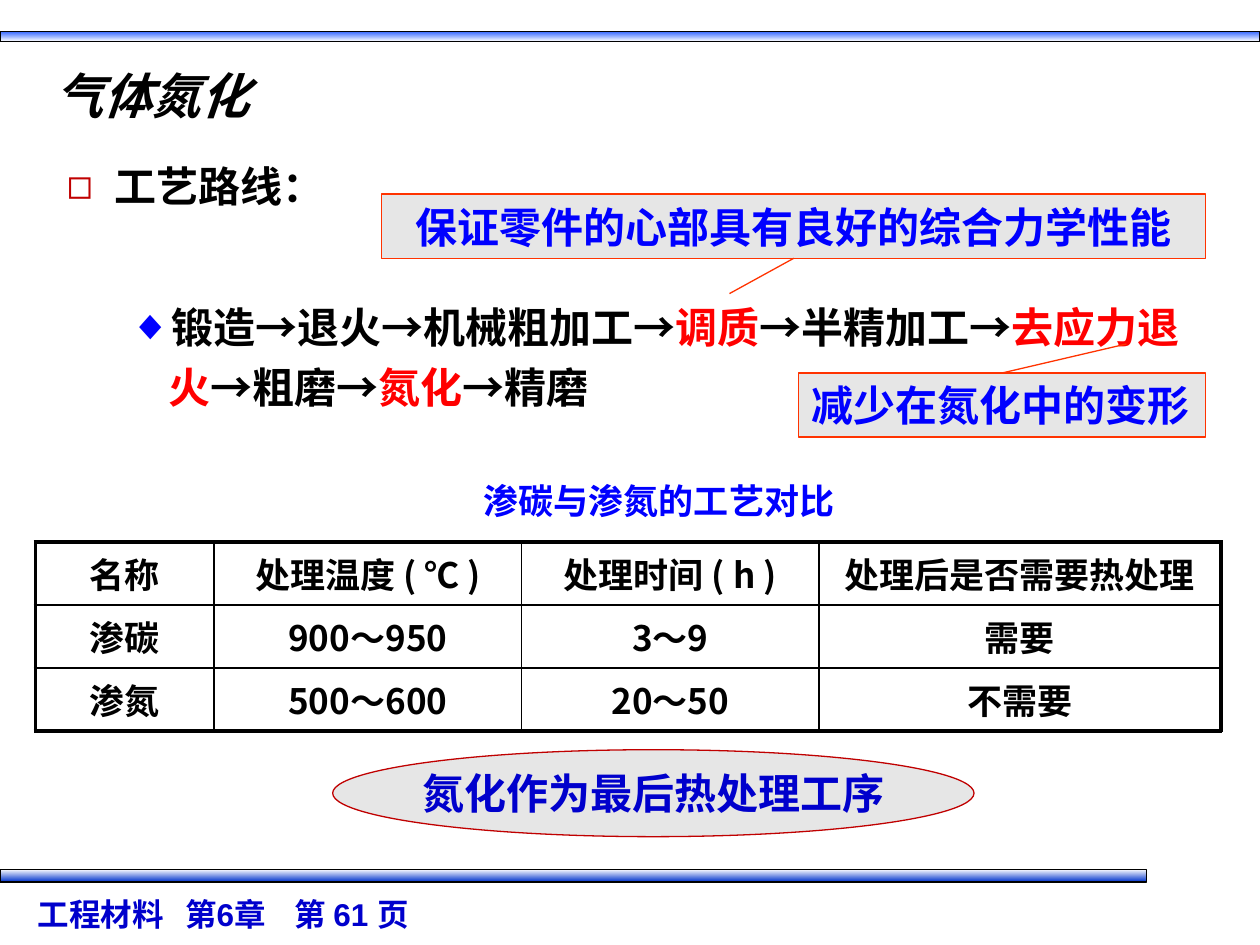
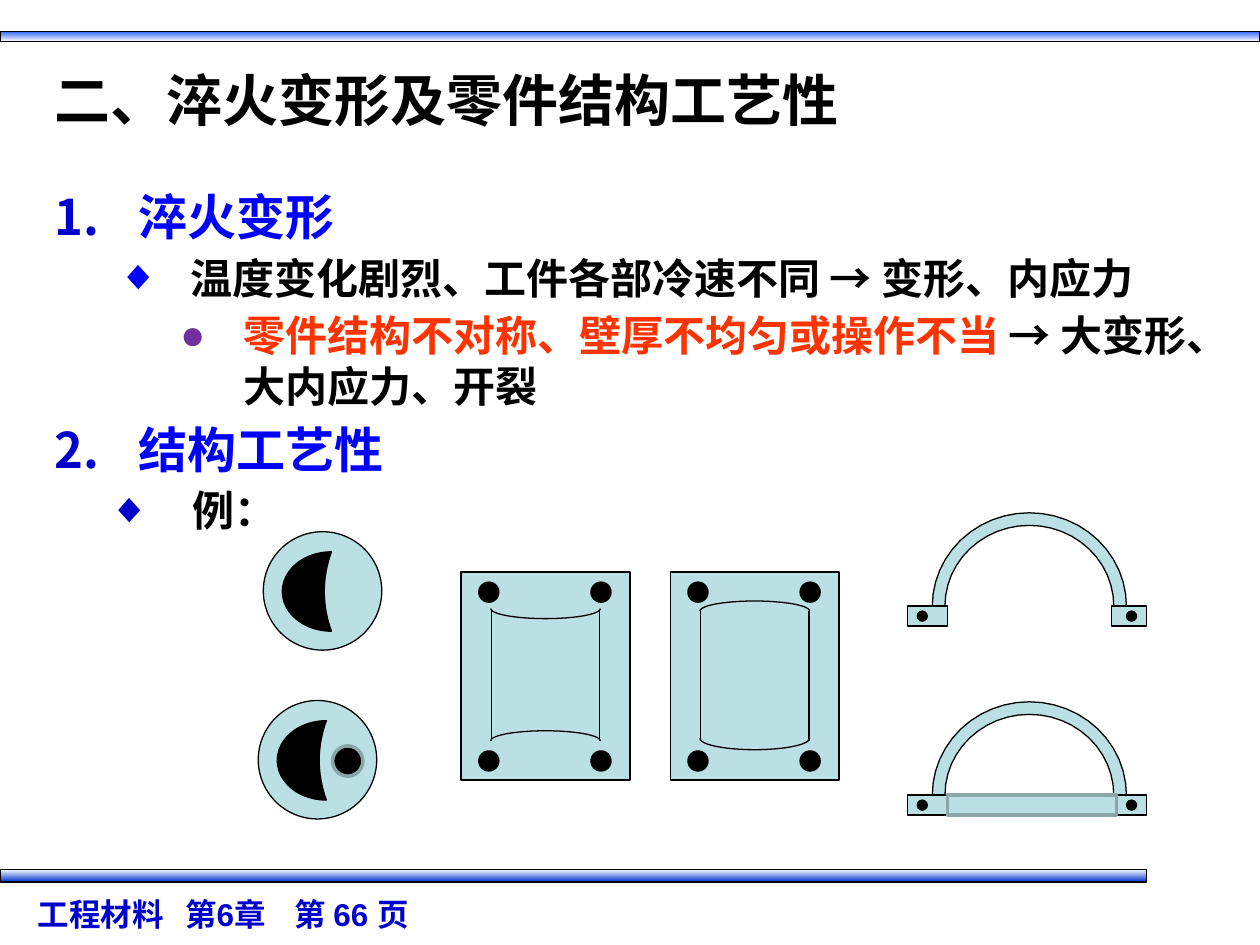
from dataclasses import dataclass
from itertools import product
from math import cos, pi, sin

from lxml.etree import SubElement
from pptx import Presentation
from pptx.dml.color import RGBColor
from pptx.enum.shapes import MSO_CONNECTOR, MSO_SHAPE
from pptx.enum.text import MSO_ANCHOR, MSO_AUTO_SIZE, PP_ALIGN
from pptx.oxml.ns import qn
from pptx.util import Inches, Pt


@dataclass(frozen=True)
class Theme:
    font: str = "Noto Sans CJK SC"
    footer_font: str = "Arial"
    black: str = "000000"
    white: str = "FFFFFF"
    blue: str = "0000FF"
    navy: str = "0000CC"
    red: str = "FF0000"
    orange: str = "FF3300"
    crimson: str = "C00000"
    purple: str = "7030A0"
    grey: str = "E6E6E6"
    steel: str = "BBE0E3"
    edge: str = "8AA6A8"
    band_top: str = "3366FF"
    band_bottom: str = "0033CC"
    title: int = 32
    head: int = 28
    text: int = 24
    small: int = 20
    footer: int = 18
    thin: float = 0.75


T = Theme()
prs = Presentation()
prs.slide_width, prs.slide_height = Inches(10), Inches(7.5)
U = prs.slide_width // 100  # grid of 100 columns by 75 rows


def draw(s, kind, box, fill=None, line=T.black, width=T.thin):
    """Add a preset shape, a "line" (two ends) or a "path" (points), in grid units."""
    if kind == "path":
        points = [(int(x * U), int(y * U)) for x, y in box]
        ff = s.shapes.build_freeform(*points[0])
        ff.add_line_segments(points[1:], close=fill is not None)
        sp = ff.convert_to_shape()
    elif kind == "line":
        sp = s.shapes.add_connector(MSO_CONNECTOR.STRAIGHT, *(int(v * U) for v in box))
    else:
        sp = s.shapes.add_shape(kind, *(int(v * U) for v in box))
    if line:
        sp.line.color.rgb = RGBColor.from_string(line)
        sp.line.width = Pt(width)
    else:
        sp.line.fill.background()
    if kind == "line":
        SubElement(sp._element.spPr, qn("a:effectLst"))
        return sp
    sp.shadow.inherit = False
    if fill:
        sp.fill.solid()
        sp.fill.fore_color.rgb = RGBColor.from_string(fill)
    else:
        sp.fill.background()
    return sp


def write(p, parts, size, align=PP_ALIGN.LEFT, font=T.font, lead=1.2, italic=False):
    """Fill a paragraph with (text, colour) parts."""
    p.alignment = align
    if lead:
        p.line_spacing = Pt(round(size * lead, 1))
    for text, colour in parts:
        r = p.add_run()
        r.text = text
        r.font.size, r.font.bold, r.font.italic = Pt(size), True, italic
        r.font.color.rgb = RGBColor.from_string(colour)
        r.font.name = font
        SubElement(r._r.rPr, qn("a:ea"), typeface=T.font)


# Page texts; items: level, bullet, bullet colour, indent, hanging, space before, size, parts
pages = [
    dict(number=61, title="气体氮化", size=T.head, italic=True, height=6.6,
         body=(4.3, 11.5, 93.3, 58.7), lead=1.43, items=[
             (0, "◻", T.crimson, 3.8, 3.8, 0, T.text, [("工艺路线：", T.black)]),
             (1, "◆", T.blue, 8.1, 3.1, 46, T.text, [
                 ("锻造→退火→机械粗加工→", T.black), ("调质", T.red),
                 ("→半精加工→", T.black), ("去应力退火", T.red),
                 ("→粗磨→", T.black), ("氮化", T.red), ("→精磨", T.black)])]),
    dict(number=66, title="二、淬火变形及零件结构工艺性", size=T.title, italic=False, height=7.3,
         body=(3.3, 14.3, 93.4, 51.6), lead=1.2, items=[
             (0, "1.", T.navy, 6.7, 6.7, 0, T.head, [("淬火变形", T.blue)]),
             (1, "◆", T.blue, 10.8, 5.8, 4, T.text,
              [("温度变化剧烈、工件各部冷速不同 → 变形、内应力", T.black)]),
             (2, "●", T.purple, 15, 5, 4, T.text, [
                 ("零件结构不对称、壁厚不均匀或操作不当", T.orange),
                 (" → 大变形、大内应力、开裂", T.black)]),
             (0, "1.", T.navy, 6.7, 6.7, 5, T.head, [("结构工艺性", T.blue)]),
             (1, "◆", T.navy, 11, 6.7, 4, T.text, [("例：", T.black)])]),
]

# Bands, footer, title and list of each page
for page in pages:
    s = prs.slides.add_slide(prs.slide_layouts[1])
    for box, stops in (((0, 2.5, 100, 0.8), (T.band_top, T.white)),
                       ((0, 69, 91, 1), (T.white, T.band_bottom))):
        band = draw(s, MSO_SHAPE.RECTANGLE, box, T.white)
        band.fill.gradient()
        band.fill.gradient_angle = 270
        for stop, colour, place in zip(band.fill.gradient_stops, stops, (0, 1)):
            stop.color.rgb = RGBColor.from_string(colour)
            stop.position = place

    tf = s.shapes.add_textbox(*(int(v * U) for v in (2, 70.5, 63.8, 4))).text_frame
    tf.word_wrap, tf.vertical_anchor = True, MSO_ANCHOR.MIDDLE
    p = tf.paragraphs[0]
    tabs = SubElement(p._p.get_or_add_pPr(), qn("a:tabLst"))
    for stop in (11.7, 20.4):
        SubElement(tabs, qn("a:tab"), pos=str(int(stop * U)), algn="l")
    write(p, [(f"工程材料\t第6章\t第 {page['number']} 页", T.navy)], T.footer, font=T.footer_font)

    title, body = s.placeholders
    for sp, box, anchor in ((title, (3.3, 4.2, 93.4, page["height"]), MSO_ANCHOR.MIDDLE),
                            (body, page["body"], MSO_ANCHOR.TOP)):
        sp.left, sp.top, sp.width, sp.height = (int(v * U) for v in box)
        sp.text_frame.auto_size = MSO_AUTO_SIZE.NONE
        sp.text_frame.word_wrap, sp.text_frame.vertical_anchor = True, anchor
    write(title.text_frame.paragraphs[0], [(page["title"], T.black)], page["size"],
          italic=page["italic"])

    tf = body.text_frame
    for i, (level, bullet, colour, indent, hang, before, size, parts) in enumerate(page["items"]):
        p = tf.add_paragraph() if i else tf.paragraphs[0]
        p.level = level
        pPr = p._p.get_or_add_pPr()
        pPr.set("marL", str(int(indent * U)))
        pPr.set("indent", str(-int(hang * U)))
        SubElement(SubElement(pPr, qn("a:buClr")), qn("a:srgbClr"), val=colour)
        if bullet == "1.":
            SubElement(pPr, qn("a:buFont"), typeface=T.font)
            SubElement(pPr, qn("a:buAutoNum"), type="arabicPeriod")
        else:
            SubElement(pPr, qn("a:buChar"), char=bullet)
        p.space_before = Pt(before)
        write(p, parts, size, lead=page["lead"])

nitriding, quenching = prs.slides

# Nitriding: process comparison table
rows = [("名称", "处理温度 ( ℃ )", "处理时间 ( h )", "处理后是否需要热处理"),
        ("渗碳", "900～950", "3～9", "需要"),
        ("渗氮", "500～600", "20～50", "不需要")]
columns = (14.2, 24.4, 23.6, 31.9)
table = nitriding.shapes.add_table(len(rows), len(columns), *(
    int(v * U) for v in (2.8, 43, sum(columns), 15))).table
table.first_row = table.horz_banding = False
for column, width in zip(table.columns, columns):
    column.width = int(width * U)
for i, j in product(range(len(rows)), range(len(columns))):
    cell = table.cell(i, j)
    outer = {"L": j == 0, "R": j == len(columns) - 1, "T": i == 0, "B": i == len(rows) - 1}
    for side, is_outer in outer.items():
        ln = SubElement(cell._tc.get_or_add_tcPr(), qn(f"a:ln{side}"),
                        w=str(Pt(2.25 if is_outer else 1)))
        SubElement(SubElement(ln, qn("a:solidFill")), qn("a:srgbClr"), val=T.black)
    cell.fill.solid()
    cell.fill.fore_color.rgb = RGBColor.from_string(T.white)
    cell.vertical_anchor = MSO_ANCHOR.MIDDLE
    write(cell.text_frame.paragraphs[0], [(rows[i][j], T.black)], T.small, PP_ALIGN.CENTER,
          lead=None)

# Nitriding: caption, callouts and conclusion
labels = []
for kind, box, fill, line, text, colour, size, align in (
        (MSO_SHAPE.RECTANGLE, (37.4, 37.5, 30.2, 4.4), T.white, None,
         "渗碳与渗氮的工艺对比", T.blue, T.small, PP_ALIGN.LEFT),
        (MSO_SHAPE.RECTANGLE, (63.4, 29.6, 32.3, 5.1), T.grey, T.orange,
         "减少在氮化中的变形", T.blue, T.text, PP_ALIGN.LEFT),
        (MSO_SHAPE.RECTANGLE, (30.3, 15.4, 65.4, 5.1), T.grey, T.orange,
         "保证零件的心部具有良好的综合力学性能", T.blue, T.text, PP_ALIGN.CENTER),
        (MSO_SHAPE.OVAL, (26.4, 59.5, 50.9, 6.9), T.grey, T.crimson,
         "氮化作为最后热处理工序", T.navy, T.text, PP_ALIGN.CENTER)):
    sp = draw(nitriding, kind, box, fill, line)
    tf = sp.text_frame
    tf.word_wrap, tf.vertical_anchor = False, MSO_ANCHOR.MIDDLE
    write(tf.paragraphs[0], [(text, colour)], size, align)
    labels.append(sp)
caption, stress_relief, tempering, conclusion = labels
draw(nitriding, "line", (63, 20.5, 57.9, 23.3), line=T.orange).begin_connect(tempering, 2)
draw(nitriding, "line", (89.4, 27.3, 79.5, 29.6), line=T.orange).end_connect(stress_relief, 0)

# Quenching: discs with a crescent hole
for x, y in ((20.9, 42.2), (20.5, 55.6)):
    draw(quenching, MSO_SHAPE.OVAL, (x, y, 9.4, 9.4), T.steel)
    moon = draw(quenching, MSO_SHAPE.MOON, (x + 1.5, y + 1.6, 3.9, 6.3), T.black)
    moon.adjustments[0] = 0.855
draw(quenching, MSO_SHAPE.OVAL, (26.4, 59.2, 2.4, 2.4), T.black, T.edge, 2)

# Quenching: plates, whose pocket ends bulge inwards and then outwards
half_turn = [pi * k / 24 for k in range(25)]
for x, ends in ((36.6, ((48.3, 0.8), (58.8, -0.8))),
                (53.2, ((48.5, -0.8), (58.6, 0.9)))):
    draw(quenching, MSO_SHAPE.RECTANGLE, (x, 45.4, 13.4, 16.5), T.steel)
    for dx in (2.4, 11):
        draw(quenching, "line", (x + dx, 48.5, x + dx, 58.8))
    for y, bulge in ends:
        draw(quenching, "path", [(x + 6.7 - 4.35 * cos(a), y + bulge * sin(a))
                                 for a in half_turn])
    for dx, y in product((1.4, 10.3), (46.2, 59.6)):
        draw(quenching, MSO_SHAPE.OVAL, (x + dx, y, 1.6, 1.6), T.black)

# Quenching: arched brackets, the second closed by a tie bar
for y in (48.1, 63.1):
    outer = [(81.7 - 7.7 * cos(a), y - 7.4 * sin(a)) for a in half_turn]
    inner = [(81.7 + 6.7 * cos(a), y - 6.4 * sin(a)) for a in half_turn]
    draw(quenching, "path", outer + inner, T.steel)
    for x, width, hole in ((88.2, 2.8, 89.4), (72, 3.2, 72.8)):
        draw(quenching, MSO_SHAPE.RECTANGLE, (x, y, width, 1.6), T.steel)
        draw(quenching, MSO_SHAPE.OVAL, (hole, y + 0.4, 0.8, 0.8), T.black)
draw(quenching, MSO_SHAPE.RECTANGLE, (75.2, 63.1, 13.4, 1.6), T.steel, T.edge, 2)

prs.save("out.pptx")
